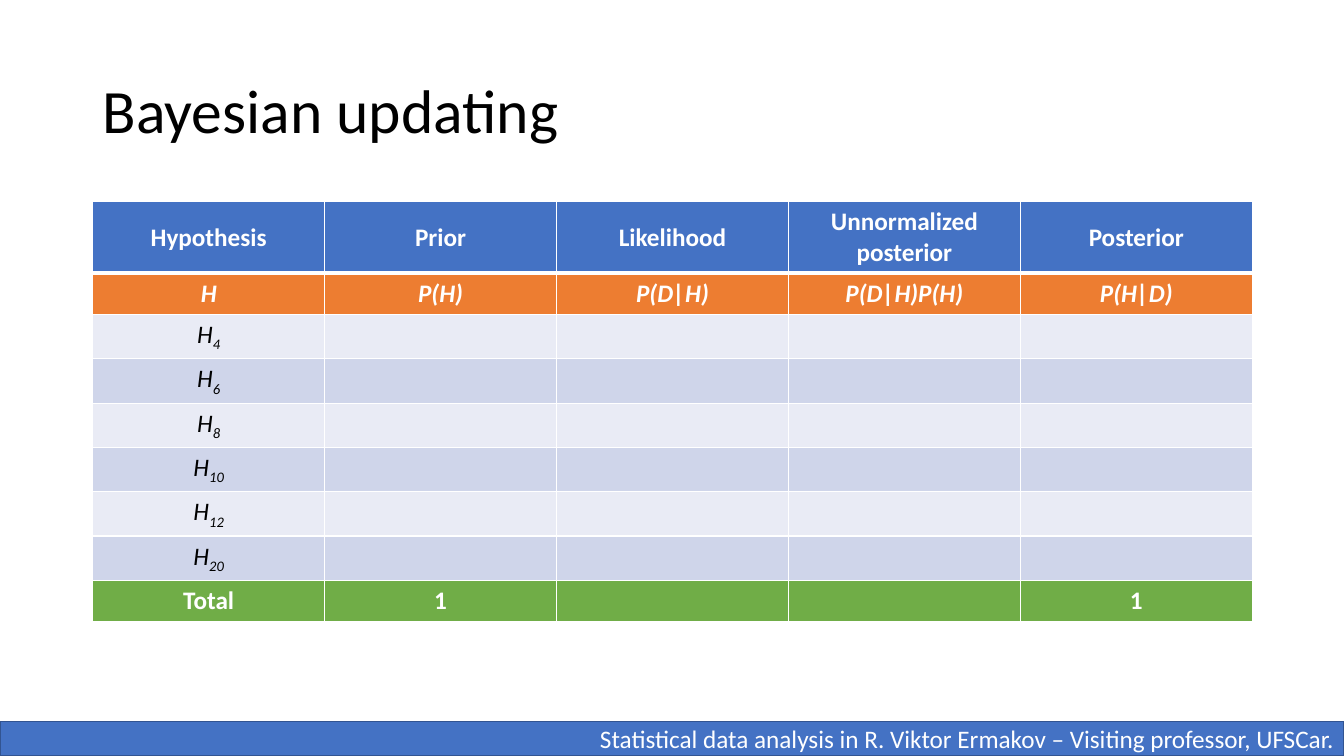
from lxml import etree
from pptx import Presentation
from pptx.dml.color import RGBColor
from pptx.enum.shapes import MSO_SHAPE
from pptx.enum.text import MSO_ANCHOR, PP_ALIGN
from pptx.oxml.ns import qn
from pptx.util import Inches, Pt

RECT = MSO_SHAPE.RECTANGLE
MIDDLE, TOP = MSO_ANCHOR.MIDDLE, MSO_ANCHOR.TOP
LEFT, CENTER, RIGHT = PP_ALIGN.LEFT, PP_ALIGN.CENTER, PP_ALIGN.RIGHT
TITLE_ONLY = 5
COLORS = {
    "black": "000000", "white": "FFFFFF", "blue": "4472C4", "edge": "325491",
    "orange": "ED7D31", "green": "70AD47", "light": "E9EBF5", "dark": "CFD5EA",
}
HEADINGS = ["Hypothesis", "Prior", "Likelihood", "Unnormalized posterior", "Posterior"]
FORMULAS = ["H", "P(H)", "P(D|H)", "P(D|H)P(H)", "P(H|D)"]
DICE = [4, 6, 8, 10, 12, 20]
TOTALS = ["Total", "1", "", "", "1"]


def rgb(name):
    return RGBColor.from_string(COLORS[name])


def add_text(p, text, size=18, color="white", bold=False, italic=False,
             align=CENTER, baseline=0):
    r = p.add_run()
    r.text = text
    p.alignment = align
    font = r.font
    font.name, font.size = "Calibri", Pt(size)
    font.bold, font.italic = bold, italic
    font.color.rgb = rgb(color)
    if baseline:
        r._r.get_or_add_rPr().set("baseline", str(baseline * 1000))


class Deck:
    """Slide builder holding the presentation style and the current slide."""

    def __init__(self):
        self.prs = Presentation()
        self.prs.slide_width, self.prs.slide_height = Inches(13.33), Inches(7.5)
        self.s = self.prs.slides.add_slide(self.prs.slide_layouts[TITLE_ONLY])

    def title(self, text, x, y, w, h):
        sp = self.s.shapes.title
        sp.left, sp.top, sp.width, sp.height = map(Inches, (x, y, w, h))
        tf = sp.text_frame
        tf.vertical_anchor = MIDDLE
        p = tf.paragraphs[0]
        p.line_spacing = 0.9
        add_text(p, text, size=44, color="black", align=LEFT)

    def table(self, rows, cols, x, y, w, row_height):
        frame = self.s.shapes.add_table(
            rows, cols, *map(Inches, (x, y, w, rows * row_height)))
        table = frame.table
        for column in table.columns:
            column.width = Inches(w / cols)
        for row in table.rows:
            row.height = Inches(row_height)
        return table

    def row(self, table, index, texts, fill, anchor=TOP, top=1, bottom=1, **style):
        for cell, text in zip(table.rows[index].cells, texts):
            cell.fill.solid()
            cell.fill.fore_color.rgb = rgb(fill)
            cell.vertical_anchor = anchor
            self.borders(cell, L=1, R=1, T=top, B=bottom)
            if text:
                add_text(cell.text_frame.paragraphs[0], text, **style)

    def borders(self, cell, **widths):
        tc_pr = cell._tc.get_or_add_tcPr()
        for i, (side, width) in enumerate(widths.items()):
            ln = etree.Element(qn(f"a:ln{side}"), w=str(Pt(width)))
            fill = etree.SubElement(ln, qn("a:solidFill"))
            etree.SubElement(fill, qn("a:srgbClr"), val=COLORS["white"])
            tc_pr.insert(i, ln)

    def bar(self, text, x, y, w, h):
        sp = self.s.shapes.add_shape(RECT, *map(Inches, (x, y, w, h)))
        sp.shadow.inherit = False
        sp.fill.solid()
        sp.fill.fore_color.rgb = rgb("blue")
        sp.line.color.rgb = rgb("edge")
        sp.line.width = Pt(1)
        tf = sp.text_frame
        tf.word_wrap = True
        tf.vertical_anchor = MIDDLE
        add_text(tf.paragraphs[0], text, align=RIGHT)


def main():
    deck = Deck()
    deck.title("Bayesian updating", 0.92, 0.4, 11.5, 1.45)

    cols = len(HEADINGS)
    table = deck.table(len(DICE) + 3, cols, 0.92, 2, 11.5, 0.41)
    deck.row(table, 0, HEADINGS, "blue", anchor=MIDDLE, bottom=3, bold=True)
    deck.row(table, 1, FORMULAS, "orange", top=3, bold=True, italic=True)
    for i, sides in enumerate(DICE):
        index = i + 2
        deck.row(table, index, ["H"] + [""] * (cols - 1), ("light", "dark")[i % 2],
                 color="black", italic=True)
        p = table.cell(index, 0).text_frame.paragraphs[0]
        add_text(p, str(sides), color="black", italic=True, baseline=-25)
    deck.row(table, len(DICE) + 2, TOTALS, "green", bold=True)

    deck.bar("Statistical data analysis in R. Viktor Ermakov – Visiting professor, UFSCar.",
             0, 7.16, 13.33, 0.34)
    deck.prs.save("out.pptx")


if __name__ == "__main__":
    main()
